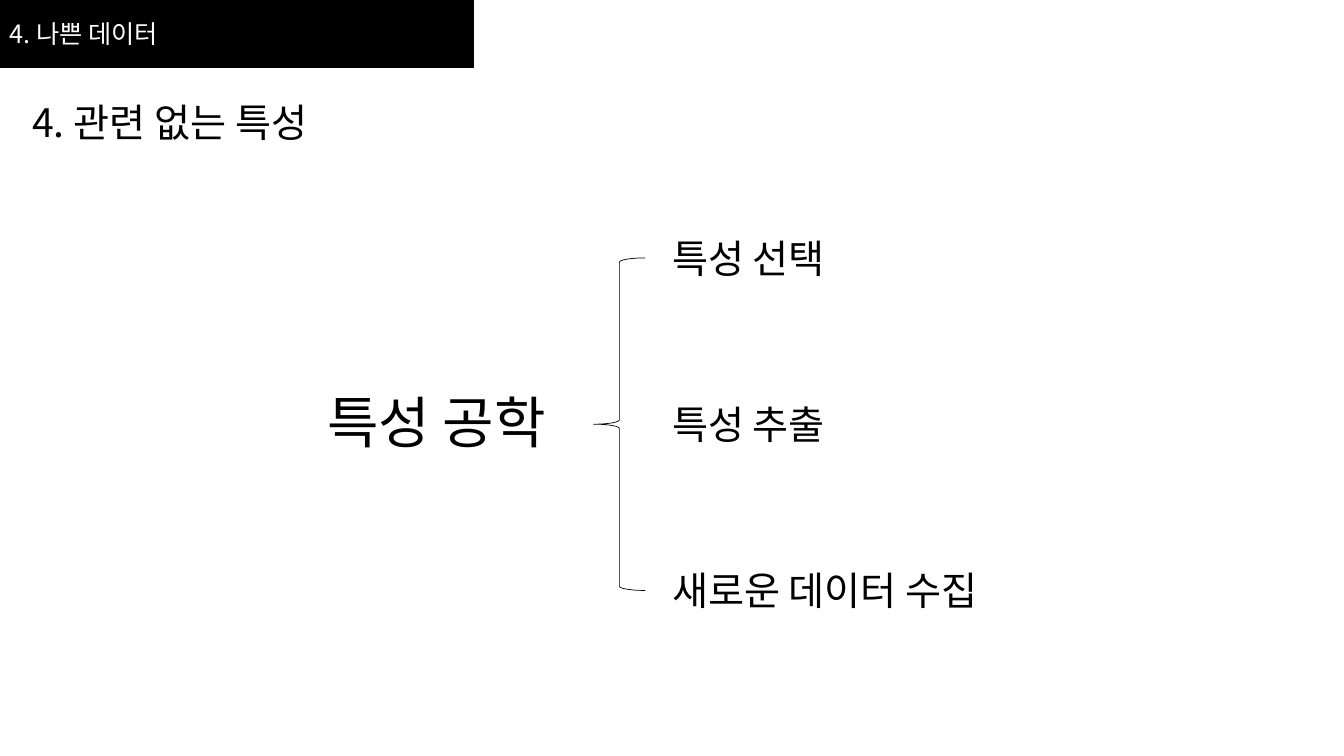
from lxml.etree import SubElement
from pptx import Presentation
from pptx.dml.color import RGBColor
from pptx.enum.shapes import MSO_SHAPE as Preset
from pptx.enum.text import MSO_ANCHOR as Anchor, MSO_AUTO_SIZE as AutoSize, PP_ALIGN as Align
from pptx.oxml.ns import qn
from pptx.util import Cm, Pt

FONT = "Noto Sans CJK KR"
BLACK, WHITE = "000000", "FFFFFF"


def color(hex_code):
    """Turn a hex string into a colour."""
    return RGBColor.from_string(hex_code)


def write(frame, text, size=28, ink=BLACK, anchor=Anchor.TOP):
    """Put one left-aligned line of text into a frame."""
    frame.vertical_anchor = anchor
    paragraph = frame.paragraphs[0]
    paragraph.alignment = Align.LEFT
    run = paragraph.add_run()
    run.text = text
    run.font.name, run.font.size = FONT, Pt(size)
    run.font.color.rgb = color(ink)
    SubElement(run.font._element, qn("a:ea"), typeface=FONT)


def add_label(shapes, text, left, top, width, height=1.45, size=28):
    """Add an unwrapped text box that fits its text."""
    label = shapes.add_textbox(Cm(left), Cm(top), Cm(width), Cm(height))
    label.text_frame.word_wrap = False
    label.text_frame.auto_size = AutoSize.SHAPE_TO_FIT_TEXT
    write(label.text_frame, text, size)


def add_outline(shapes, preset, left, top, width, height, weight):
    """Add a preset shape with a black line and no shadow."""
    outline = shapes.add_shape(preset, Cm(left), Cm(top), Cm(width), Cm(height))
    outline.shadow.inherit = False
    outline.line.color.rgb = color(BLACK)
    outline.line.width = Pt(weight)
    return outline


def add_chapter_bar(shapes, chapter, left, top, width, height):
    """Draw the black bar that names the chapter."""
    bar = add_outline(shapes, Preset.RECTANGLE, left, top, width, height, 1)
    bar.fill.solid()
    bar.fill.fore_color.rgb = color(BLACK)
    write(bar.text_frame, chapter, size=18, ink=WHITE, anchor=Anchor.MIDDLE)


def add_brace_tree(shapes, topic, branches, left, top, pitch):
    """Draw a topic and its evenly spaced branches joined by a brace."""
    tree = shapes.add_group_shape().shapes
    span = pitch * (len(branches) - 1)
    add_label(tree, topic, left, top + 3.88, 6.71, 1.96, size=40)
    brace = add_outline(tree, Preset.LEFT_BRACE, left + 6.96, top + 0.73, 1.3, span, 0.5)
    brace.fill.background()
    for row, (branch, width) in enumerate(branches):
        add_label(tree, branch, left + 8.69, top + row * pitch, width)


def main():
    """Build and save the slide."""
    deck = Presentation()
    deck.slide_width, deck.slide_height = Cm(33.87), Cm(19.05)
    shapes = deck.slides.add_slide(deck.slide_layouts[6]).shapes
    add_chapter_bar(shapes, "4. 나쁜 데이터", 0, 0, 11.94, 1.7)
    add_label(shapes, "4. 관련 없는 특성", 0.56, 2.36, 8.33)
    branches = [("특성 선택", 4.85), ("특성 추출", 4.85), ("새로운 데이터 수집", 9.19)]
    add_brace_tree(shapes, "특성 공학", branches, left=8, top=5.77, pitch=4.19)
    deck.save("out.pptx")


if __name__ == "__main__":
    main()
